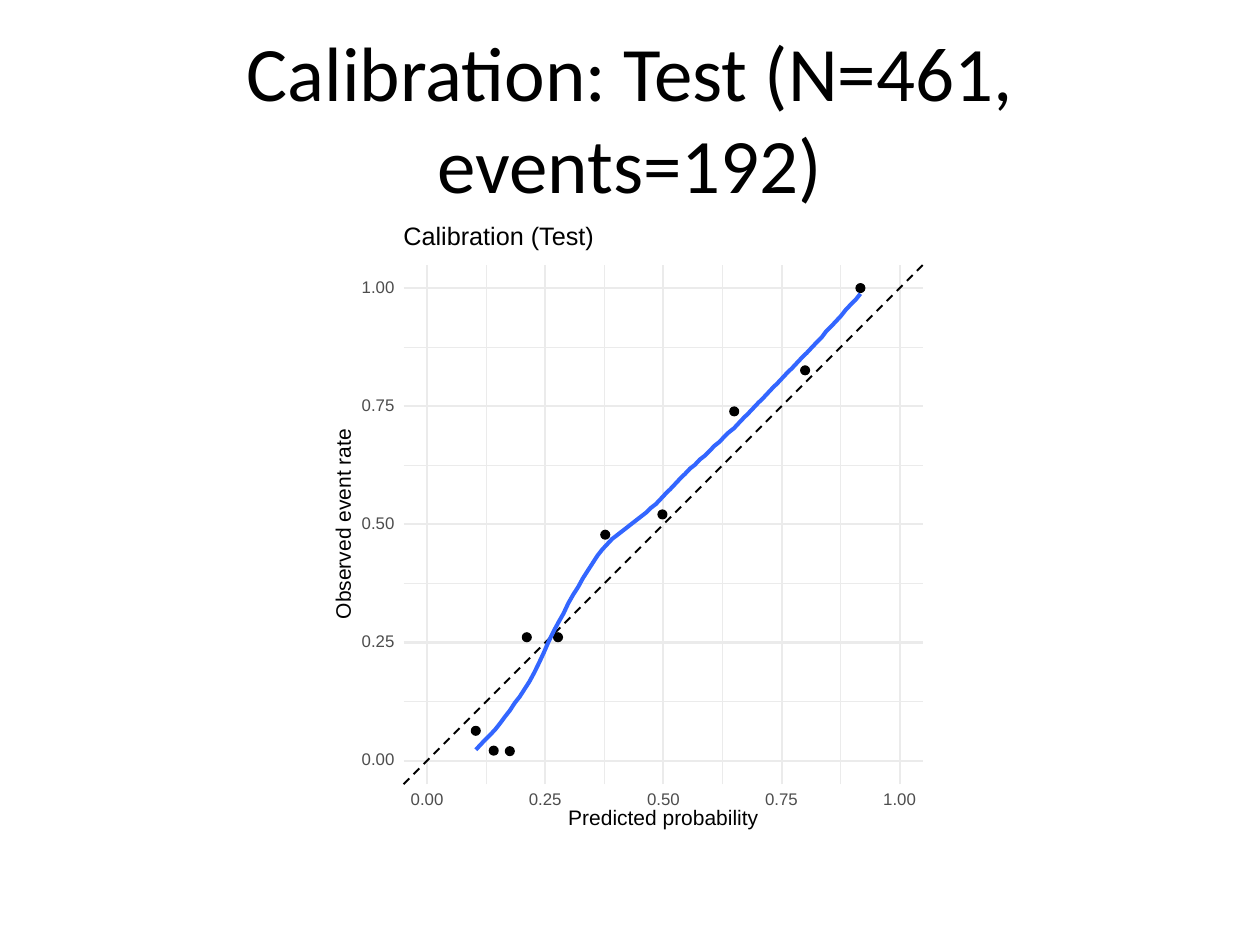
"""Build a slide with a calibration plot: observed event rate against predicted probability."""
from lxml.etree import SubElement
from pptx import Presentation
from pptx.dml.color import RGBColor as Color
from pptx.enum.dml import MSO_LINE_DASH_STYLE as Dash
from pptx.enum.shapes import MSO_CONNECTOR as Connector, MSO_SHAPE as Shape
from pptx.enum.text import MSO_ANCHOR as Anchor, MSO_AUTO_SIZE as AutoSize, PP_ALIGN as Align
from pptx.oxml.ns import qn
from pptx.util import Pt

TITLE = "Calibration: Test (N=461, events=192)"
PLOT_TITLE = "Calibration (Test)"
X_TITLE = "Predicted probability"
Y_TITLE = "Observed event rate"
TICKS = [0, 25, 50, 75, 100]
MINOR_TICKS = [12.5, 37.5, 62.5, 87.5]
POINTS = [
    (10.3, 6.3), (14.1, 2.1), (17.5, 2.0), (21.1, 26.1), (27.7, 26.1),
    (37.7, 47.8), (49.8, 52.1), (65.0, 73.9), (80.0, 82.6), (91.7, 100),
]
CURVE = [
    2.3, 3.4, 4.5, 5.5, 6.6, 7.9, 9.3, 10.6, 12.2, 13.5, 15.1, 16.7, 18.6, 20.7, 22.9, 25.3,
    27.4, 29.3, 31.1, 33.3, 35.1, 36.7, 38.6, 40.2, 41.8, 43.4, 44.7, 45.8, 46.9, 47.7, 48.5, 49.3,
    50.1, 50.9, 51.7, 52.5, 53.5, 54.3, 55.4, 56.5, 57.5, 58.6, 59.7, 60.7, 61.8, 62.6, 63.7, 64.5,
    65.5, 66.6, 67.4, 68.5, 69.5, 70.3, 71.4, 72.5, 73.5, 74.6, 75.7, 76.7, 77.8, 78.9, 79.9, 81.0,
    82.1, 83.1, 84.2, 85.3, 86.3, 87.4, 88.5, 89.5, 90.9, 91.9, 93.0, 94.1, 95.4, 96.5, 97.5, 98.8,
]
COLORS = {"white": "FFFFFF", "grid": "EBEBEB", "black": "000000", "curve": "3366FF", "tick": "4D4D4D"}
LOW, HIGH = -5, 105
ORIGIN_X, ORIGIN_Y, UNIT = 244.1, 434.65, 2.7
POINT_SIZE = 5
TICK_SIZE, TICK_WIDTH, TICK_HEIGHT = 9.6, 18.7, 7.2
Y_LABEL_LEFT, X_LABEL_TOP = 206.7, 453.6


def color(name):
    return Color.from_string(COLORS[name])


def place_x(percent):
    return ORIGIN_X + percent * UNIT


def place_y(percent):
    return ORIGIN_Y - percent * UNIT


def set_line(shape, name, width):
    shape.line.color.rgb = color(name)
    shape.line.width = Pt(width)


def add_filled(shapes, kind, box, name, line_width=None):
    shape = shapes.add_shape(kind, *map(Pt, box))
    shape.shadow.inherit = False
    shape.fill.solid()
    shape.fill.fore_color.rgb = color(name)
    if line_width:
        set_line(shape, name, line_width)
    else:
        shape.line.fill.background()


def add_line(shapes, start, end, name, width):
    ends = [Pt(place(value)) for point in (start, end) for place, value in zip((place_x, place_y), point)]
    line = shapes.add_connector(Connector.STRAIGHT, *ends)
    SubElement(line._element.spPr, qn("a:effectLst"))
    set_line(line, name, width)
    return line


def add_label(shapes, text, box, size, name="black", rotation=0):
    label = shapes.add_textbox(*map(Pt, box))
    label.rotation = rotation
    frame = label.text_frame
    frame_format = {
        "margin_left": 0, "margin_top": 0, "margin_right": 0, "margin_bottom": 0,
        "word_wrap": False, "vertical_anchor": Anchor.MIDDLE,
    }
    for key, value in frame_format.items():
        setattr(frame, key, value)
    paragraph = frame.paragraphs[0]
    paragraph.text = text
    paragraph.line_spacing = Pt(size)
    for key, value in {"name": "Arial", "size": Pt(size)}.items():
        setattr(paragraph.font, key, value)
    paragraph.font.color.rgb = color(name)


def add_title(slide):
    title = slide.shapes.title
    for key, value in {"left": 36, "top": 21.6, "width": 648, "height": 90}.items():
        setattr(title, key, Pt(value))
    frame = title.text_frame
    frame.text = TITLE
    frame.auto_size = AutoSize.NONE
    frame.vertical_anchor = Anchor.MIDDLE
    paragraph = frame.paragraphs[0]
    paragraph.alignment = Align.CENTER
    for key, value in {"name": "Calibri", "size": Pt(44)}.items():
        setattr(paragraph.font, key, value)
    paragraph.font.color.rgb = color("black")


def add_curve(shapes):
    first, last = POINTS[0][0], POINTS[-1][0]
    step = (last - first) / (len(CURVE) - 1)
    track = [(Pt(place_x(first + index * step)), Pt(place_y(rate))) for index, rate in enumerate(CURVE)]
    builder = shapes.build_freeform(*track[0])
    builder.add_line_segments(track[1:], close=False)
    curve = builder.convert_to_shape()
    curve.shadow.inherit = False
    curve.fill.background()
    set_line(curve, "curve", 2.33)


def add_plot(shapes):
    add_filled(shapes, Shape.RECTANGLE, (36, 126, 648, 356.4), "white", 0.75)
    add_filled(shapes, Shape.RECTANGLE, (186.5, 126, 347, 356.4), "white")

    for ticks, width in ((MINOR_TICKS, 0.58), (TICKS, 1.16)):
        for tick in ticks:
            add_line(shapes, (LOW, tick), (HIGH, tick), "grid", width)
        for tick in ticks:
            add_line(shapes, (tick, LOW), (tick, HIGH), "grid", width)
    diagonal = add_line(shapes, (LOW, LOW), (HIGH, HIGH), "black", 1.16)
    diagonal.line.dash_style = Dash.DASH

    for predicted, observed in POINTS:
        left, top = place_x(predicted) - POINT_SIZE / 2, place_y(observed) - POINT_SIZE / 2
        add_filled(shapes, Shape.OVAL, (left, top, POINT_SIZE, POINT_SIZE), "black", 0.77)
    add_curve(shapes)

    for tick in TICKS:
        corners = (
            (Y_LABEL_LEFT, place_y(tick) - TICK_HEIGHT / 2),
            (place_x(tick) - TICK_WIDTH / 2, X_LABEL_TOP),
        )
        for corner in corners:
            add_label(shapes, f"{tick / 100:.2f}", (*corner, TICK_WIDTH, TICK_HEIGHT), TICK_SIZE, "tick")
    add_label(shapes, X_TITLE, (324.7, 463, 108.7, 10.8), 12)
    add_label(shapes, Y_TITLE, (142.6, 295.2, 108.7, 8.6), 12, rotation=270)
    add_label(shapes, PLOT_TITLE, (place_x(LOW), 128.9, 110.2, 13.7), 14.4)


def main():
    presentation = Presentation()
    presentation.slide_width, presentation.slide_height = Pt(720), Pt(540)
    slide = presentation.slides.add_slide(presentation.slide_layouts[5])
    add_title(slide)
    add_plot(slide.shapes.add_group_shape().shapes)
    presentation.save("out.pptx")


if __name__ == "__main__":
    main()
